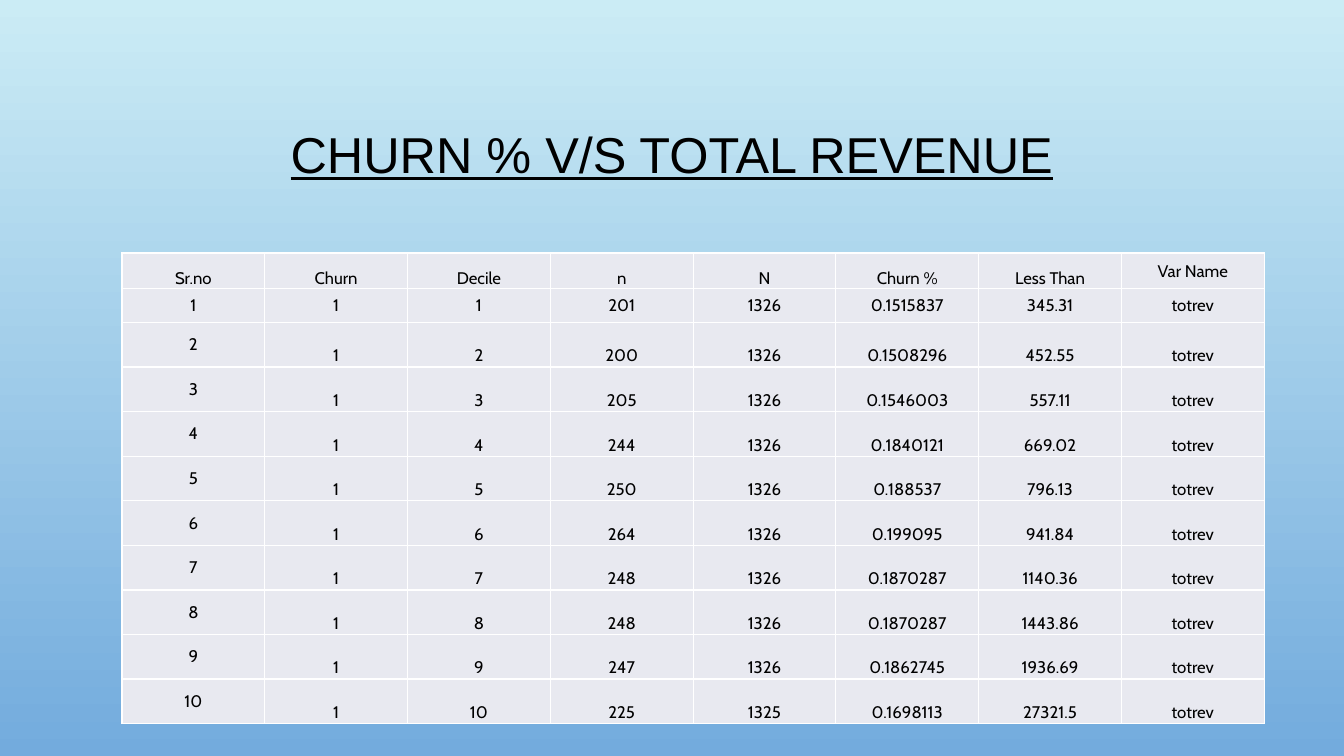
from lxml import etree
from pptx import Presentation
from pptx.dml.color import RGBColor
from pptx.enum import text
from pptx.oxml import ns
from pptx.util import Inches, Pt

TITLE = "CHURN % V/S TOTAL REVENUE"
HEADERS = ("Sr.no", "Churn", "Decile", "n", "N", "Churn %", "Less Than", "Var Name")
# n, N, churn share, upper bound of total revenue; one line per decile
DECILES = [
    ("201", "1326", "0.1515837", "345.31"),
    ("200", "1326", "0.1508296", "452.55"),
    ("205", "1326", "0.1546003", "557.11"),
    ("244", "1326", "0.1840121", "669.02"),
    ("250", "1326", "0.188537", "796.13"),
    ("264", "1326", "0.199095", "941.84"),
    ("248", "1326", "0.1870287", "1140.36"),
    ("248", "1326", "0.1870287", "1443.86"),
    ("247", "1326", "0.1862745", "1936.69"),
    ("225", "1325", "0.1698113", "27321.5"),
]
CHURN, VARIABLE = "1", "totrev"

SKY_TOP = RGBColor(0xCB, 0xEC, 0xF5)
SKY_BOTTOM = RGBColor(0x73, 0xAB, 0xDD)
CELL_FILL = RGBColor(0xE8, 0xE9, 0xF0)
BORDER = RGBColor(0xFF, 0xFF, 0xFF)
INK = RGBColor(0, 0, 0)

SLIDE_WIDTH, SLIDE_HEIGHT = 13.33, 7.5
CONTENT_WIDTH = 0.85 * SLIDE_WIDTH
TABLE_LEFT, TABLE_TOP, TABLE_HEIGHT = 1.21, 2.51, 4.67
HEADER_HEIGHT, FIRST_HEIGHT = 0.35, 0.34
INSET = Inches(0.01)


def style_paragraph(paragraph, font_name, size):
    paragraph.alignment = text.PP_ALIGN.CENTER
    font = paragraph.font
    font.name, font.size, font.color.rgb = font_name, Pt(size), INK


def add_borders(cell):
    properties = cell._tc.get_or_add_tcPr()
    for position, side in enumerate(("lnL", "lnR", "lnT", "lnB")):
        line = etree.Element(ns.qn(f"a:{side}"), w=str(Pt(1)))
        fill = etree.SubElement(line, ns.qn("a:solidFill"))
        etree.SubElement(fill, ns.qn("a:srgbClr"), val=str(BORDER))
        properties.insert(position, line)


def cell_anchor(row, column):
    """Headers sit low except the last; later rows sit low except the first column."""
    if row == 0:
        low = column < len(HEADERS) - 1
    else:
        low = row > 1 and column > 0
    return text.MSO_ANCHOR.BOTTOM if low else text.MSO_ANCHOR.MIDDLE


def add_title(slide):
    title = slide.shapes.title
    title.left, title.top = Inches((SLIDE_WIDTH - CONTENT_WIDTH) / 2), Inches(0.68)
    title.width, title.height = Inches(CONTENT_WIDTH), Inches(1.75)
    frame = title.text_frame
    frame.text = TITLE
    frame.auto_size = text.MSO_AUTO_SIZE.NONE
    frame.vertical_anchor = text.MSO_ANCHOR.MIDDLE
    paragraph = frame.paragraphs[0]
    style_paragraph(paragraph, "Arial", 36)
    paragraph.font.underline = True
    paragraph.line_spacing = 0.9


def add_decile_table(slide):
    rows = [HEADERS] + [
        (str(number), CHURN, str(number), *figures, VARIABLE)
        for number, figures in enumerate(DECILES, 1)
    ]
    table = slide.shapes.add_table(
        len(rows), len(HEADERS), Inches(TABLE_LEFT), Inches(TABLE_TOP),
        Inches(CONTENT_WIDTH), Inches(TABLE_HEIGHT)).table
    table.first_row = table.horz_banding = False

    later_rows = len(rows) - 2
    later_height = (TABLE_HEIGHT - HEADER_HEIGHT - FIRST_HEIGHT) / later_rows
    heights = [HEADER_HEIGHT, FIRST_HEIGHT] + [later_height] * later_rows
    for row, (height, values) in enumerate(zip(heights, rows)):
        table.rows[row].height = Inches(height)
        for column, value in enumerate(values):
            cell = table.cell(row, column)
            cell.text = value
            cell.margin_left = cell.margin_right = cell.margin_top = INSET
            cell.margin_bottom = INSET if row > 1 else 0
            cell.vertical_anchor = cell_anchor(row, column)
            cell.fill.solid()
            cell.fill.fore_color.rgb = CELL_FILL
            add_borders(cell)
            style_paragraph(cell.text_frame.paragraphs[0], "Cabin", 12)


def main():
    presentation = Presentation()
    presentation.slide_width = Inches(SLIDE_WIDTH)
    presentation.slide_height = Inches(SLIDE_HEIGHT)
    slide = presentation.slides.add_slide(presentation.slide_layouts[5])
    sky = slide.background.fill
    sky.gradient()
    sky.gradient_angle = 270
    for stop, color in zip(sky.gradient_stops, (SKY_TOP, SKY_BOTTOM)):
        stop.color.rgb = color
    add_title(slide)
    add_decile_table(slide)
    presentation.save("out.pptx")


if __name__ == "__main__":
    main()
